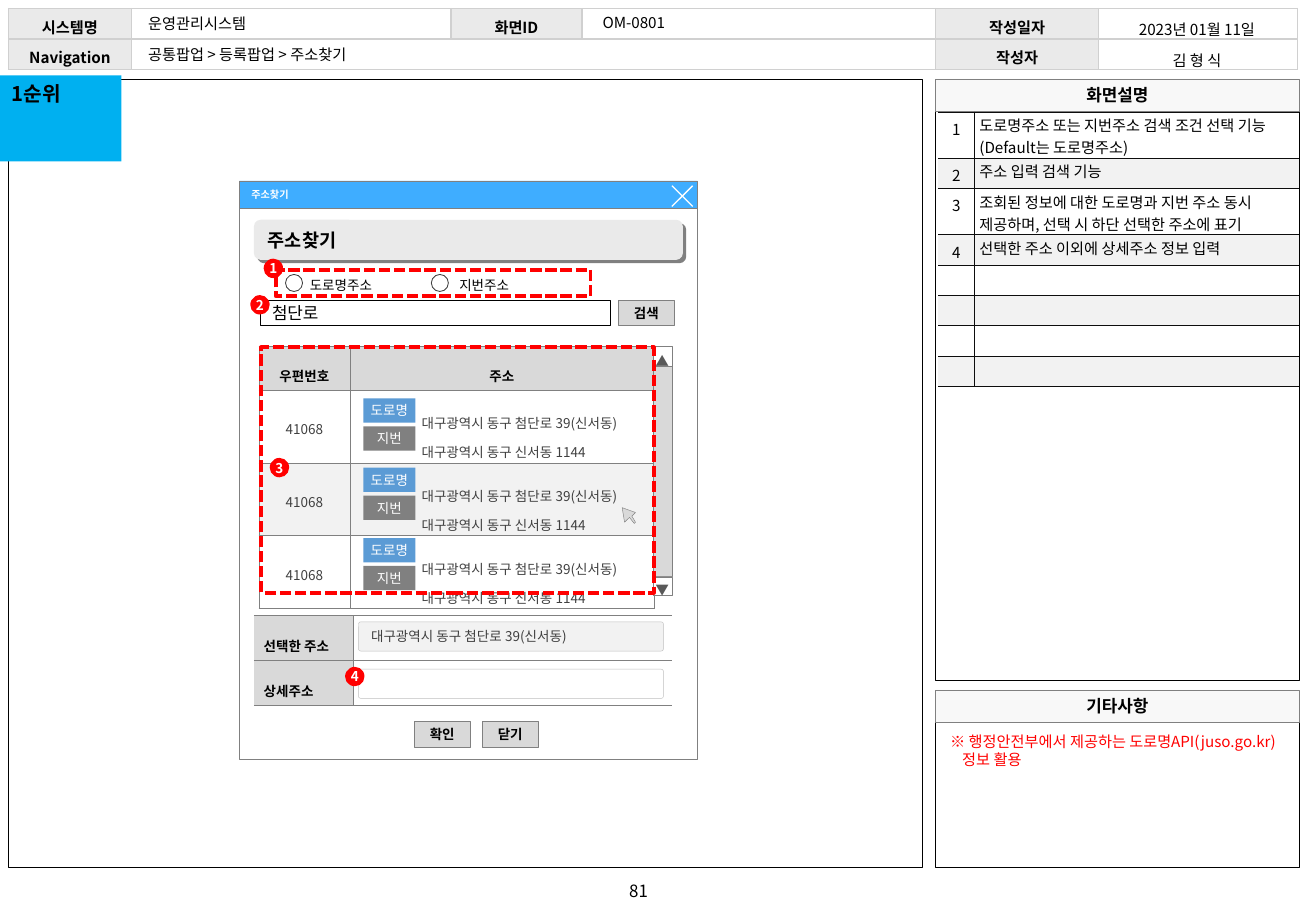
from typing import NamedTuple

from lxml.etree import SubElement
from pptx import Presentation
from pptx.dml.color import RGBColor
from pptx.enum.dml import MSO_LINE
from pptx.enum.shapes import MSO_SHAPE
from pptx.enum.text import MSO_ANCHOR, PP_ALIGN
from pptx.oxml.ns import qn
from pptx.util import Inches, Pt

FONT = "Noto Sans CJK KR"
PLAIN_TABLE = "{2D5ABB26-0587-4C30-8999-92F81FD0307C}"
INSET = (0.1, 0.05, 0.1, 0.05)
GRAY, SILVER, PALE, RED = "808080", "D9D9D9", "F2F2F2", "FF0000"
LEFT, CENTER = PP_ALIGN.LEFT, PP_ALIGN.CENTER
TOP, MIDDLE = MSO_ANCHOR.TOP, MSO_ANCHOR.MIDDLE


class Box(NamedTuple):
    left: float
    top: float
    width: float
    height: float

    def inner(self, dx, dy, width, height):
        return Box(self.left + dx, self.top + dy, width, height)

    def lengths(self):
        return [Inches(value) for value in self]


def rgb(color):
    return RGBColor.from_string(color)


def write(holder, text, size=8, bold=False, color="000000", align=LEFT, anchor=MIDDLE,
          inset=INSET, spacing=None, after=None, hanging=0, font=FONT):
    """Write text into a text frame or a table cell, one paragraph per line."""
    frame = getattr(holder, "text_frame", holder)
    holder.vertical_anchor = anchor
    (holder.margin_left, holder.margin_top,
     holder.margin_right, holder.margin_bottom) = [Inches(side) for side in inset]
    for number, line in enumerate(text.split("\n")):
        para = frame.add_paragraph() if number else frame.paragraphs[0]
        para.alignment = align
        if spacing:
            para.line_spacing = spacing
        if after:
            para.space_after = Pt(after)
        if hanging:
            properties = para._p.get_or_add_pPr()
            properties.set("marL", str(Inches(hanging)))
            properties.set("indent", str(-Inches(hanging)))
        if not line:
            SubElement(para._p, qn("a:endParaRPr"), sz=str(size * 100))
            continue
        span = para.add_run()
        span.text = line
        span.font.size, span.font.bold, span.font.name = Pt(size), bold, font
        span.font.color.rgb = rgb(color)
        SubElement(span._r.get_or_add_rPr(), qn("a:ea"), typeface=font)


def paint(shape, fill=None, line=None, weight=0.5):
    shape.shadow.inherit = False
    if fill:
        shape.fill.solid()
        shape.fill.fore_color.rgb = rgb(fill)
    else:
        shape.fill.background()
    if line:
        shape.line.color.rgb = rgb(line)
        shape.line.width = Pt(weight)
    else:
        shape.line.fill.background()
    return shape


def add_shape(page, box, fill=None, line=None, weight=0.5, kind=MSO_SHAPE.RECTANGLE,
              text="", wrap=True, **style):
    shape = paint(page.shapes.add_shape(kind, *box.lengths()), fill, line, weight)
    if text:
        shape.text_frame.word_wrap = wrap
        write(shape.text_frame, text, **style)
    return shape


def add_text(page, box, text, wrap=True, anchor=TOP, **style):
    frame = page.shapes.add_textbox(*box.lengths()).text_frame
    frame.word_wrap = wrap
    write(frame, text, anchor=anchor, **style)


def add_outline(page, strokes, closed=False, **style):
    builder = None
    for stroke in strokes:
        points = [(Inches(x), Inches(y)) for x, y in stroke]
        if builder:
            builder.move_to(*points[0])
        else:
            builder = page.shapes.build_freeform(*points[0], scale=1.0)
        builder.add_line_segments(points[1:], close=closed)
    paint(builder.convert_to_shape(), **style)


def add_table(page, box, widths, heights):
    table = page.shapes.add_table(len(heights), len(widths), *box.lengths()).table
    table.first_row = table.horz_banding = False
    table._tbl.tblPr.find(qn("a:tableStyleId")).text = PLAIN_TABLE
    for column, width in zip(table.columns, widths):
        column.width = Inches(width)
    for row, height in zip(table.rows, heights):
        row.height = Inches(height)
    return table


def format_cell(cell, text="", fill=None, edges="", edge_color=GRAY, weight=0.25, **style):
    """Edges names the ruled sides in the order L, R, T, B."""
    write(cell, text, **style)
    for edge in edges:
        line = SubElement(cell._tc.get_or_add_tcPr(), qn(f"a:ln{edge}"), w=str(Pt(weight)))
        SubElement(SubElement(line, qn("a:solidFill")), qn("a:srgbClr"), val=edge_color)
    if fill:
        cell.fill.solid()
        cell.fill.fore_color.rgb = rgb(fill)
    else:
        cell.fill.background()


def add_header(page, box):
    inset = (0.1, 0.05, 0.1, 0)
    table = add_table(page, box, [1.01, 2.63, 1.08, 2.91, 1.34, 1.64], [0.25] * 2)
    labels = [["시스템명", "", "화면ID", "", "작성일자", ""],
              ["Navigation", "", "", "", "작성자", ""]]
    table.cell(1, 1).merge(table.cell(1, 3))
    for r, row in enumerate(labels):
        for c, label in enumerate(row):
            format_cell(table.cell(r, c), label, "EAEAEA" if label else None, "LRTB", "D0D0D0",
                        1, size=9, bold=True, align=CENTER, inset=inset)
    signature = add_table(page, box.inner(8.96, 0.02, 1.64, 0.5), [1.64], [0.25] * 2)
    for r, text in enumerate(["2023년 01월 11일", "김 형 식"]):
        format_cell(signature.cell(r, 0), text, size=9, align=CENTER, inset=inset)
    for dx, dy, width, text in [(1.05, 0, 1.09, "운영관리시스템"), (4.79, -0.01, 0.75, "OM-0801"),
                                (1.05, 0.25, 2.07, "공통팝업 > 등록팝업 > 주소찾기")]:
        add_text(page, box.inner(dx, dy, width, 0.25), text, wrap=False, size=9)


def add_panel(page, box, title):
    add_shape(page, box.inner(0, 0.26, box.width, box.height - 0.26), line="000000", weight=0.25)
    add_shape(page, box.inner(0, 0, box.width, 0.27), "F8F8F8", GRAY, 0.25,
              text=title, size=10, bold=True, align=CENTER, anchor=TOP)


def add_description(page, box):
    add_panel(page, box, "화면설명")
    notes = ["도로명주소 또는 지번주소 검색 조건 선택 기능(Default는 도로명주소)", "주소 입력 검색 기능",
             "조회된 정보에 대한 도로명과 지번 주소 동시 제공하며, 선택 시 하단 선택한 주소에 표기",
             "선택한 주소 이외에 상세주소 정보 입력"] + [""] * 4
    heights = [0.38, 0.25] * 2 + [0.25] * 4
    table = add_table(page, box.inner(0.02, 0.27, 2.97, sum(heights)), [0.3, 2.67], heights)
    for r, note in enumerate(notes):
        look = dict(fill=PALE if r % 2 else None, edge_color="0D0D0D", size=9, anchor=TOP)
        format_cell(table.cell(r, 0), str(r + 1) if note else "", edges="RTB", align=CENTER,
                    inset=(0, 0.05, 0, 0), **look)
        format_cell(table.cell(r, 1), note, edges="LTB", inset=(0.04, 0.02, 0.04, 0), **look)


def add_remarks(page, box):
    add_panel(page, box, "기타사항")
    add_text(page, box.inner(0.02, 0.3, 2.95, 0.4), size=9, color=RED, hanging=0.1,
             text="※ 행정안전부에서 제공하는 도로명API(juso.go.kr) 정보 활용")


def add_button(page, box, text):
    add_shape(page, box, SILVER, GRAY, text=text, bold=True, align=CENTER)


def add_window(page, box):
    add_shape(page, box, "FFFFFF", GRAY)
    add_shape(page, box.inner(0, 0, box.width, 0.23), "3FADFF", GRAY)
    x, y = box.left + 3.56, box.top + 0.04
    add_outline(page, [[(x + 0.17, y), (x, y + 0.17)], [(x, y), (x + 0.17, y + 0.17)]],
                line="FFFFFF", weight=0.75)
    add_text(page, box.inner(0, 0.01, 1.93, 0.2), "주소찾기", size=6, bold=True, color="FFFFFF")
    title = add_shape(page, box.inner(0.12, 0.32, 3.53, 0.33), "EAEAEA", text="주소찾기", size=11,
                      bold=True, hanging=0.1, kind=MSO_SHAPE.ROUNDED_RECTANGLE)
    shadow = SubElement(title._element.spPr.find(qn("a:effectLst")), qn("a:outerShdw"),
                        blurRad="0", dist=str(Pt(2.8)), dir="2700000", algn="tl", rotWithShape="0")
    SubElement(shadow, qn("a:srgbClr"), val=GRAY)
    for dx, text in [(1.44, "확인"), (2, "닫기")]:
        add_button(page, box.inner(dx, 4.45, 0.46, 0.21), text)


def add_search(page, box):
    for dx, label_dx, width, label in [(0.21, 0.41, 0.56, "도로명주소"), (1.41, 1.64, 0.45, "지번주소")]:
        add_shape(page, box.inner(dx, 0.01, 0.14, 0.14), "FFFFFF", "404040", kind=MSO_SHAPE.OVAL)
        add_text(page, box.inner(label_dx, 0, width, 0.17), label, wrap=False, anchor=MIDDLE,
                 inset=(0, 0, 0, 0), spacing=1.25, after=5)
    add_shape(page, box.inner(0, 0.22, 2.88, 0.21), "FFFFFF", "000000", text="첨단로",
              size=10, hanging=0.1)
    add_button(page, box.inner(2.95, 0.22, 0.46, 0.21), "검색")


def add_results(page, box):
    table = add_table(page, box, [0.75, 2.5], [0.36] + [0.6] * 3)
    for c, label in enumerate(["우편번호", "주소"]):
        format_cell(table.cell(0, c), label, SILVER, "LRTB", bold=True, align=CENTER,
                    spacing=1.5, inset=(0.08, 0.08, 0.08, 0.03))
    for r, tag_top in enumerate([0.43, 1, 1.58], start=1):
        look = dict(fill=PALE if r == 2 else None, edges="LRTB", color="404040")
        format_cell(table.cell(r, 0), "41068", align=CENTER, spacing=1.2, inset=(0.1,) * 4, **look)
        format_cell(table.cell(r, 1), "대구광역시 동구 첨단로 39(신서동)\n대구광역시 동구 신서동 1144",
                    spacing=1.5, inset=(0.59, 0.1, 0.1, 0), **look)
        for dy, fill, tag in [(0, "5B9BD5", "도로명"), (0.23, GRAY, "지번")]:
            add_shape(page, box.inner(0.86, tag_top + dy, 0.43, 0.2), fill, text=tag, font="Calibri",
                      color="FFFFFF", align=CENTER, inset=(0.04,) * 4)
    for dx, dy, length, fill, arrow in [(2.46, 0.96, 1.73, SILVER, ""), (3.24, 0.01, 0.17, "FFFFFF", "◀"),
                                        (3.25, 1.9, 0.15, "FFFFFF", "▶")]:
        bar = add_shape(page, box.inner(dx, dy, length, 0.15), fill, GRAY, text=arrow,
                        bold=True, color="595959", align=CENTER)
        bar.rotation = 90
    cursor = [(0, 0), (0.11, 0.04), (0.08, 0.07), (0.11, 0.12), (0.1, 0.13), (0.06, 0.08), (0.02, 0.12)]
    add_outline(page, [[(box.left + 2.99 + x, box.top + 1.33 + y) for x, y in cursor]], closed=True,
                fill=SILVER, line=GRAY, weight=0.25)


def add_selection(page, box):
    table = add_table(page, box, [0.82, 2.62], [0.37] * 2)
    for r, (label, fill, address) in enumerate([("선택한 주소", PALE, "대구광역시 동구 첨단로 39(신서동)"),
                                                ("상세주소", None, "")]):
        format_cell(table.cell(r, 0), label, SILVER, "RTB", weight=0.5, bold=True,
                    spacing=1.5, inset=(0.08, 0.08, 0.08, 0.04))
        format_cell(table.cell(r, 1), edges="LTB", weight=0.5)
        field = add_shape(page, box.inner(0.86, 0.05 + 0.39 * r, 2.51, 0.24), fill, "BFBFBF", 0.25,
                          MSO_SHAPE.ROUNDED_RECTANGLE, address, color="404040",
                          inset=(0.1, 0.05, 0.24, 0.05))
        field.adjustments[0] = 0.08


def add_markers(page, box):
    for area in [box.inner(0.3, 0.73, 2.59, 0.22), box.inner(0.18, 1.37, 3.23, 2.02)]:
        add_shape(page, area, line=RED, weight=2.25).line.dash_style = MSO_LINE.SQUARE_DOT
    for number, (dx, dy) in enumerate([(0.2, 0.64), (0.09, 0.94), (0.25, 2.28), (0.87, 4)], start=1):
        add_shape(page, box.inner(dx, dy, 0.16, 0.16), RED, kind=MSO_SHAPE.OVAL, text=str(number),
                  wrap=False, bold=True, color="FFFFFF", align=CENTER)


def main():
    deck = Presentation()
    deck.slide_width, deck.slide_height = Inches(10.83), Inches(7.5)
    page = deck.slides.add_slide(deck.slide_layouts[6])
    popup = Box(1.97, 1.49, 3.77, 4.76)
    add_shape(page, Box(0.07, 0.65, 7.52, 6.49), line="000000", weight=0.25)
    add_header(page, Box(0.07, 0.07, 10.62, 0.5))
    add_description(page, Box(7.7, 0.65, 2.99, 4.95))
    add_remarks(page, Box(7.7, 5.68, 2.99, 1.46))
    add_text(page, Box(4.9, 7.2, 0.71, 0.27), "81", size=10, align=CENTER, anchor=MIDDLE)
    add_window(page, popup)
    add_search(page, popup.inner(0.17, 0.76, 3.41, 0.43))
    add_results(page, popup.inner(0.16, 1.36, 3.25, 2.16))
    add_selection(page, popup.inner(0.12, 3.58, 3.44, 0.74))
    add_markers(page, popup)
    add_shape(page, Box(0, 0.62, 1, 0.71), "00B0F0", text="1순위", size=12, bold=True, anchor=TOP)
    deck.save("out.pptx")


if __name__ == "__main__":
    main()
